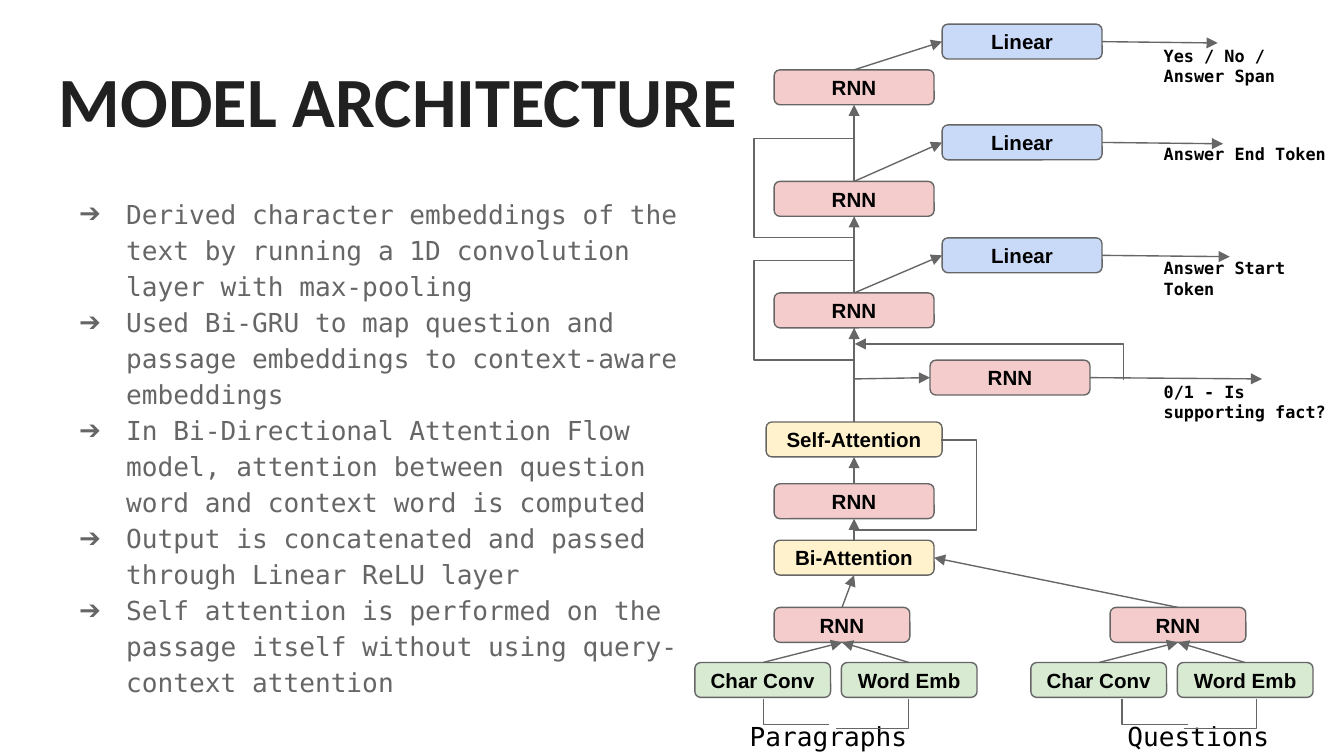
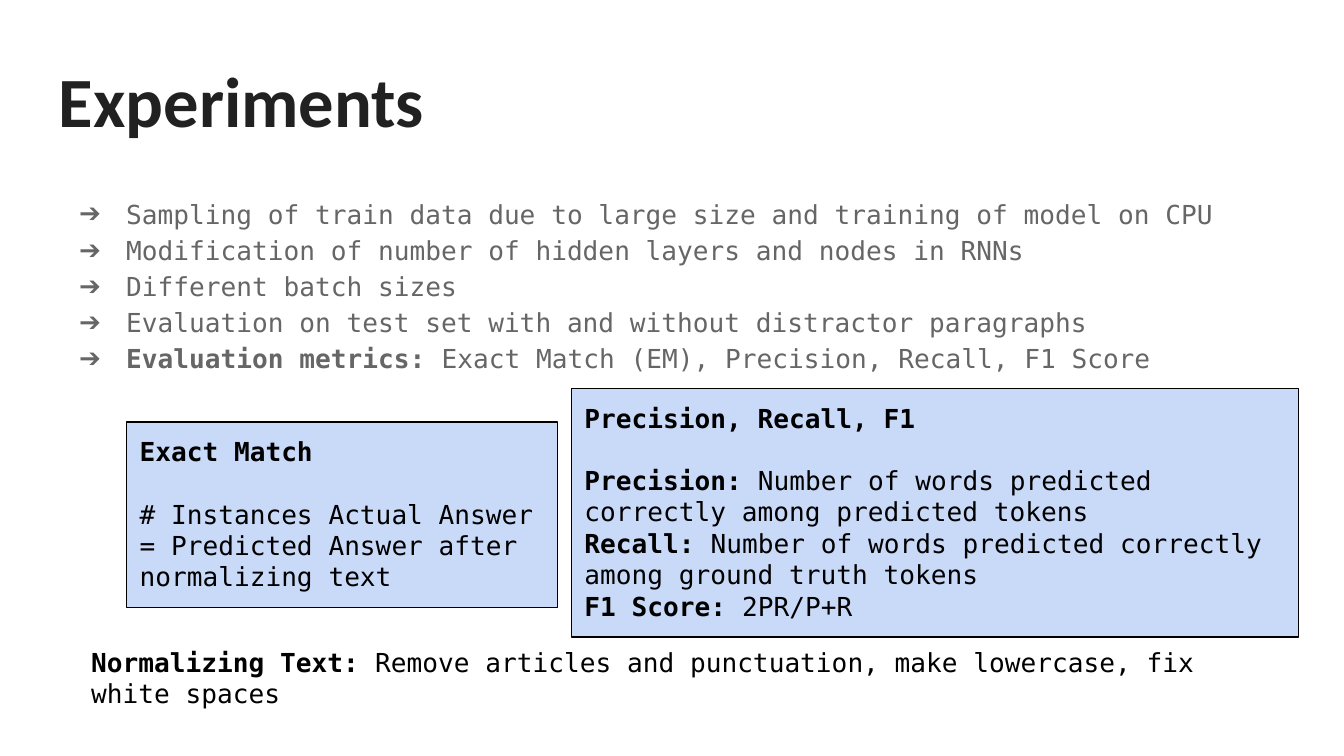
from dataclasses import dataclass

from lxml.etree import SubElement
from pptx import Presentation
from pptx.dml.color import RGBColor
from pptx.enum.shapes import MSO_CONNECTOR, MSO_SHAPE
from pptx.enum.text import MSO_ANCHOR, PP_ALIGN
from pptx.oxml.ns import qn
from pptx.util import Pt

EMU_PER_PX = 9144  # 100 px to the inch
TOP, LEFT, BOTTOM, RIGHT = range(4)


@dataclass(frozen=True)
class Theme:
    title_font: str = "Calibri"
    body_font: str = "DejaVu Sans Mono"
    node_font: str = "Arial"
    title_size: float = 37.8
    body_size: float = 14
    node_size: float = 11
    label_size: float = 9
    line_width: float = 0.75
    blank_line: float = 16.7
    title: str = "212121"
    grey: str = "666666"
    black: str = "000000"
    green: str = "D9EAD3"
    red: str = "F4CCCC"
    yellow: str = "FFF2CC"
    blue: str = "C9DAF8"


THEME = Theme()


def px(value):
    return round(value * EMU_PER_PX)


def rgb(value):
    return RGBColor.from_string(value)


# Text
def add_run(paragraph, text, font, size, color, bold=False):
    run = paragraph.add_run()
    run.text = text
    run.font.name = font
    run.font.size = Pt(size)
    run.font.bold = bold
    run.font.color.rgb = rgb(color)


def prepare_frame(shape, anchor=MSO_ANCHOR.TOP):
    frame = shape.text_frame
    frame.word_wrap = True
    frame.vertical_anchor = anchor
    frame.margin_left = frame.margin_right = px(10)
    frame.margin_top = frame.margin_bottom = px(10)
    return frame


def fill_paragraphs(frame, paragraphs, color, size=THEME.body_size):
    """Each paragraph is a list of (text, bold) runs."""
    for index, runs in enumerate(paragraphs):
        paragraph = frame.add_paragraph() if index else frame.paragraphs[0]
        paragraph.alignment = PP_ALIGN.LEFT
        for text, bold in runs:
            add_run(paragraph, text, THEME.body_font, size, color, bold)


def add_text(slide, box, paragraphs, color=THEME.black, size=THEME.body_size):
    shape = slide.shapes.add_textbox(*map(px, box))
    frame = prepare_frame(shape)
    fill_paragraphs(frame, paragraphs, color, size)
    return frame


def add_title(slide, text):
    shape = slide.shapes.add_textbox(*map(px, (34, 32, 932, 88)))
    frame = prepare_frame(shape)
    add_run(frame.paragraphs[0], text, THEME.title_font, THEME.title_size,
            THEME.title, True)


def add_bullets(slide, width, height, paragraphs):
    frame = add_text(slide, (34, 134, width, height), paragraphs, THEME.grey)
    for paragraph in frame.paragraphs:
        paragraph.line_spacing = 1.15
        properties = paragraph._p.get_or_add_pPr()
        properties.set("marL", str(px(50)))
        properties.set("indent", str(px(-35)))
        color = SubElement(properties, qn("a:buClr"))
        SubElement(color, qn("a:srgbClr"), val=THEME.grey)
        SubElement(properties, qn("a:buFont"), typeface=THEME.node_font)
        SubElement(properties, qn("a:buChar"), char="➔")


# Boxes
def add_box(slide, kind, box, fill, line):
    shape = slide.shapes.add_shape(kind, *map(px, box))
    shape.shadow.inherit = False
    if fill:
        shape.fill.solid()
        shape.fill.fore_color.rgb = rgb(fill)
    else:
        shape.fill.background()
    shape.line.color.rgb = rgb(line)
    shape.line.width = Pt(THEME.line_width)
    return shape


def add_node(slide, text, left, top, fill, width=119):
    shape = add_box(slide, MSO_SHAPE.ROUNDED_RECTANGLE,
                    (left, top, width, 26), fill, THEME.grey)
    paragraph = prepare_frame(shape, MSO_ANCHOR.MIDDLE).paragraphs[0]
    paragraph.alignment = PP_ALIGN.CENTER
    add_run(paragraph, text, THEME.node_font, THEME.node_size, THEME.black, True)
    return shape


def add_card(slide, box, heading, paragraphs):
    shape = add_box(slide, MSO_SHAPE.RECTANGLE, box, THEME.blue, THEME.black)
    frame = prepare_frame(shape)
    fill_paragraphs(frame, [[(heading, True)], *paragraphs], THEME.black)
    frame.paragraphs[1].space_before = Pt(THEME.blank_line)


# Connectors
def style_line(connector, arrow):
    connector.line.color.rgb = rgb(THEME.grey)
    connector.line.width = Pt(THEME.line_width)
    if arrow:
        SubElement(connector.line._get_or_add_ln(), qn("a:tailEnd"), type="triangle")
    SubElement(connector._element.spPr, qn("a:effectLst"))


def add_arrow(slide, start, end):
    """Each end is an (x, y) point or a (shape, side) pair."""
    connector = slide.shapes.add_connector(MSO_CONNECTOR.STRAIGHT, 0, 0, 0, 0)
    if isinstance(start[0], int):
        connector.begin_x, connector.begin_y = map(px, start)
    else:
        connector.begin_connect(*start)
    if isinstance(end[0], int):
        connector.end_x, connector.end_y = map(px, end)
    else:
        connector.end_connect(*end)
    style_line(connector, True)


def add_elbow(slide, start, end, segments, adjustments=(), arrow=False, rotation=0):
    connector = slide.shapes.add_connector(
        MSO_CONNECTOR.ELBOW, *map(px, (*start, *end)))
    properties = connector._element.spPr
    if rotation:
        properties.find(qn("a:xfrm")).set("rot", str(rotation * 60000))
    geometry = properties.find(qn("a:prstGeom"))
    geometry.set("prst", f"bentConnector{segments}")
    guides = geometry.find(qn("a:avLst"))
    if guides is None:
        guides = SubElement(geometry, qn("a:avLst"))
    for number, value in enumerate(adjustments, 1):
        SubElement(guides, qn("a:gd"), name=f"adj{number}", fmla=f"val {value}")
    style_line(connector, arrow)


# Slide parts
def add_encoder(slide, left, caption, caption_left, char_x, word_x):
    """Caption, its two elbows, two embedding nodes and the RNN that joins them."""
    add_text(slide, (caption_left, 526, 151, 44), [[(caption, False)]])
    char_conv = add_node(slide, "Char Conv", left, 493, THEME.green, 101)
    word_emb = add_node(slide, "Word Emb", left + 109, 493, THEME.green, 101)
    rnn = add_node(slide, "RNN", left + 59, 452, THEME.red, 101)
    add_elbow(slide, (char_x + 49, 539), (char_x, 520), 2)
    add_elbow(slide, (word_x - 54, 542), (word_x, 520), 2)
    for source in (char_conv, word_emb):
        add_arrow(slide, (source, TOP), (rnn, BOTTOM))
    return rnn


def add_output(slide, source, end, label, label_top, label_height=50):
    add_arrow(slide, (source, RIGHT), end)
    add_text(slide, (856, label_top, 141, label_height), [[(label, True)]],
             size=THEME.label_size)


def build_architecture(slide):
    for top in (194, 103):
        add_box(slide, MSO_SHAPE.RECTANGLE, (561, top, 75, 74), None, THEME.grey)
    add_title(slide, "MODEL ARCHITECTURE")
    add_bullets(slide, 486, 415, [[(text, False)] for text in (
        "Derived character embeddings of the text by running a 1D convolution "
        "layer with max-pooling",
        "Used Bi-GRU to map question and passage embeddings to context-aware "
        "embeddings",
        "In Bi-Directional Attention Flow model, attention between question "
        "word and context word is computed",
        "Output is concatenated and passed through Linear ReLU layer",
        "Self attention is performed on the passage itself without using "
        "query-context attention",
    )])

    # Encoders and attention
    paragraphs = add_encoder(slide, 517, "Paragraphs", 548, 568, 676)
    questions = add_encoder(slide, 767, "Questions", 829, 835, 935)
    bi_attention = add_node(slide, "Bi-Attention", 576, 402, THEME.yellow)
    middle_rnn = add_node(slide, "RNN", 576, 360, THEME.red)
    self_attention = add_node(slide, "Self-Attention", 570, 314, THEME.yellow, 131)
    add_arrow(slide, (questions, TOP), (bi_attention, RIGHT))
    add_arrow(slide, (paragraphs, TOP), (bi_attention, BOTTOM))
    add_arrow(slide, (bi_attention, TOP), (middle_rnn, BOTTOM))
    add_arrow(slide, (middle_rnn, TOP), (self_attention, BOTTOM))
    add_elbow(slide, (631, 332), (705, 397), 4, (9700, 139900), rotation=270)

    # Supporting fact branch
    fact_rnn = add_node(slide, "RNN", 692, 268, THEME.red)
    add_arrow(slide, (635, 282), (fact_rnn, LEFT))
    add_elbow(slide, (836, 283), (636, 256), 3, (0,), arrow=True)
    add_output(slide, fact_rnn, (939, 282), "0/1 - Is supporting fact?", 274)

    # Answer tower, from bottom to top
    below = self_attention
    for rnn_top, linear_top, end, label, label_top, label_height in (
        (218, 177, (915, 191), "Answer Start Token", 182, 50),
        (135, 93, (910, 107), "Answer End Token", 99, 35),
        (52, 18, (906, 32), "Yes / No / Answer Span", 24, 50),
    ):
        rnn = add_node(slide, "RNN", 576, rnn_top, THEME.red)
        linear = add_node(slide, "Linear", 701, linear_top, THEME.blue)
        add_arrow(slide, (below, TOP), (rnn, BOTTOM))
        add_arrow(slide, (rnn, TOP), (linear, LEFT))
        add_output(slide, linear, end, label, label_top, label_height)
        below = rnn


def build_experiments(slide):
    add_title(slide, "Experiments")
    add_bullets(slide, 909, 365, [
        [("Sampling of train data due to large size and training of model on CPU",
          False)],
        [("Modification of number of hidden layers and nodes in RNNs", False)],
        [("Different batch sizes", False)],
        [("Evaluation on test set with and without distractor paragraphs", False)],
        [("Evaluation metrics:", True),
         (" Exact Match (EM), Precision, Recall, F1 Score", False)],
    ])

    # Metric definitions
    add_card(slide, (94, 314, 321, 138), "Exact Match", [
        [("# Instances Actual Answer = Predicted Answer after normalizing text",
          False)],
    ])
    add_text(slide, (58, 471, 885, 67), [
        [("Normalizing Text:", True),
         (" Remove articles and punctuation, make lowercase, fix white spaces",
          False)],
    ])
    add_card(slide, (425, 289, 541, 185), "Precision, Recall, F1", [
        [("Precision:", True),
         (" Number of words predicted correctly among predicted tokens", False)],
        [("Recall: ", True),
         ("Number of words predicted correctly among ground truth tokens", False)],
        [("F1 Score: ", True), ("2PR/P+R", False)],
    ])


def main():
    presentation = Presentation()
    presentation.slide_width = px(1000)
    presentation.slide_height = px(1000) * 9 // 16
    blank = presentation.slide_layouts[6]
    for build in (build_architecture, build_experiments):
        build(presentation.slides.add_slide(blank))
    presentation.save("out.pptx")


if __name__ == "__main__":
    main()
